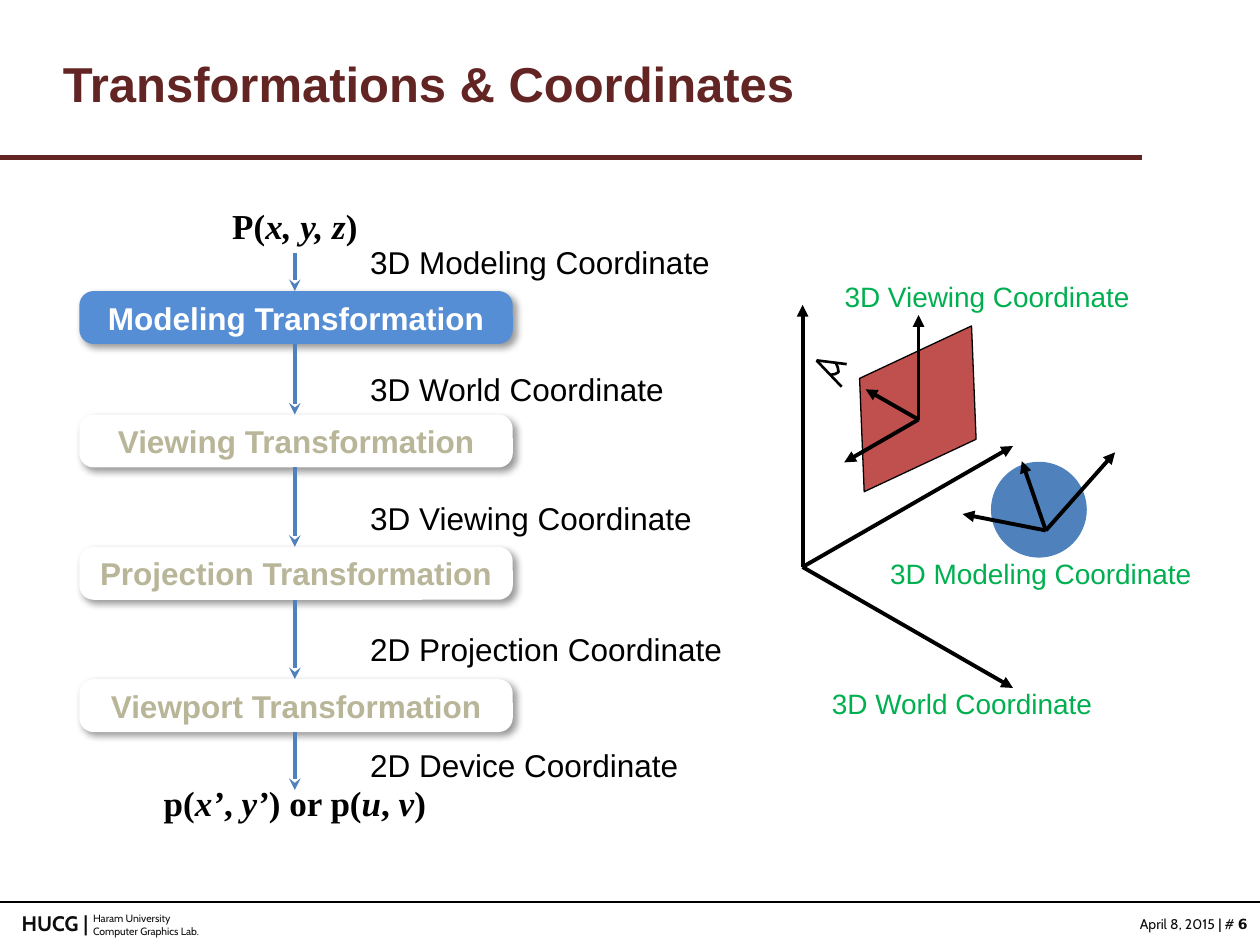
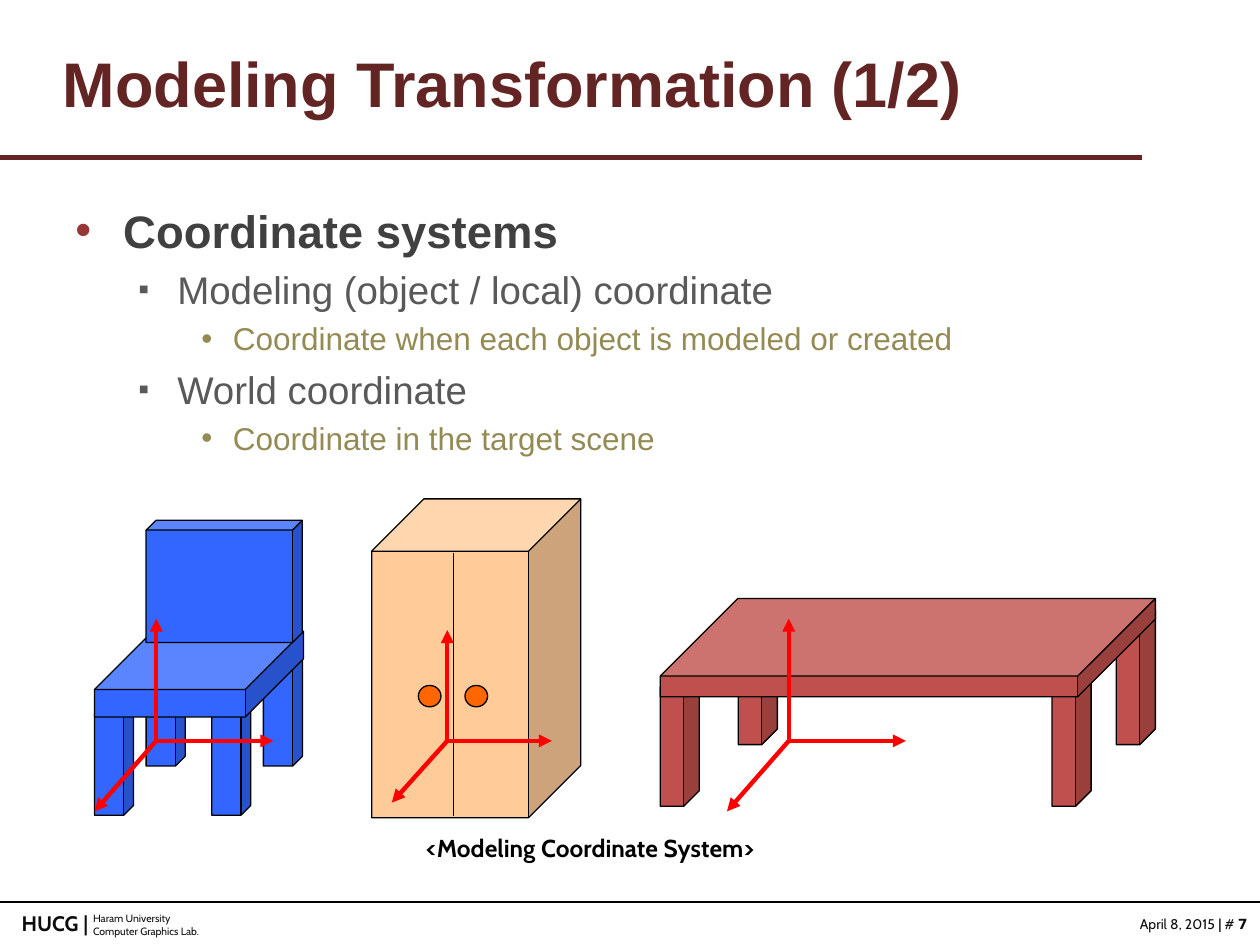
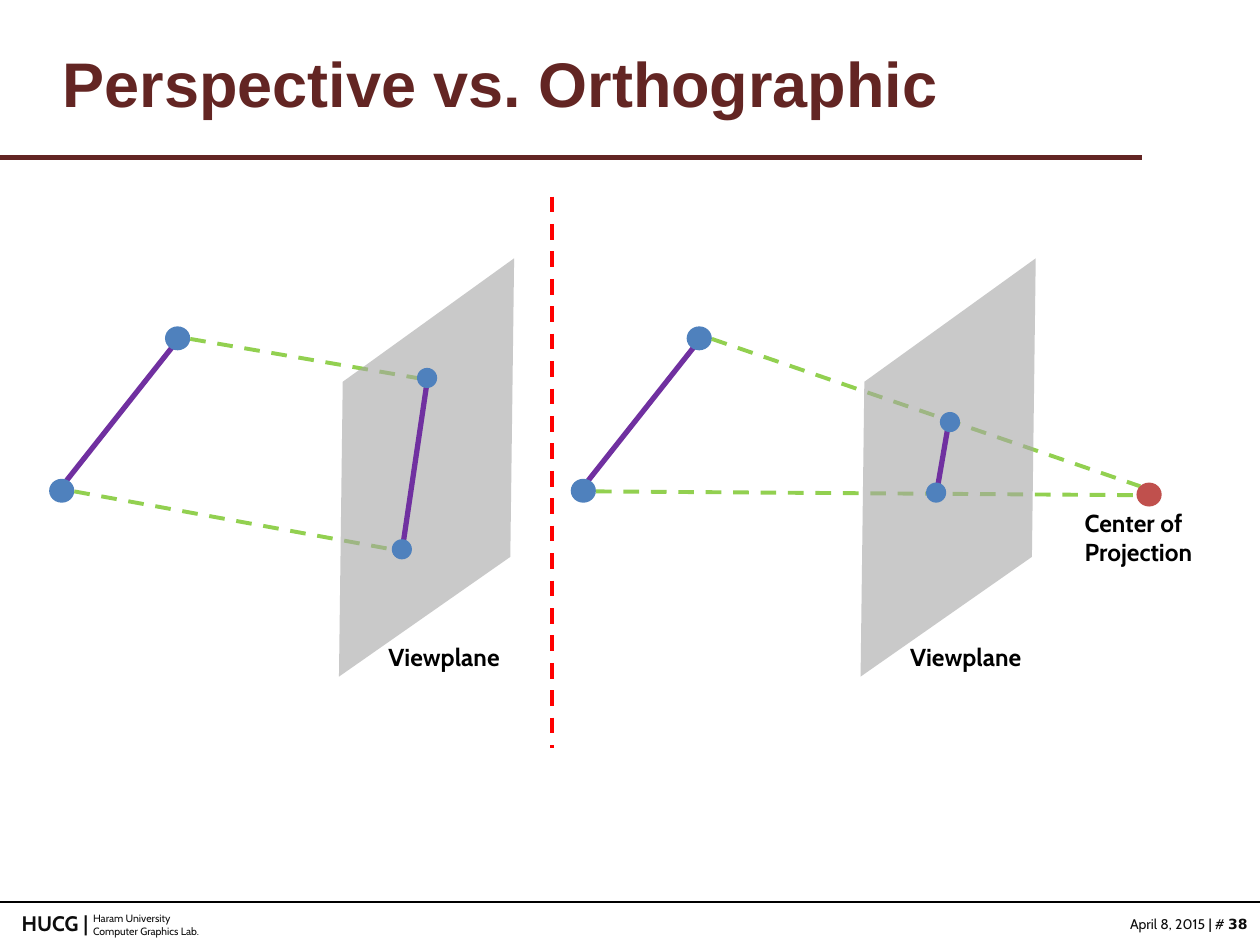
from lxml import etree
from pptx import Presentation
from pptx.dml.color import RGBColor
from pptx.enum.dml import MSO_LINE
from pptx.enum.shapes import MSO_CONNECTOR, MSO_SHAPE
from pptx.enum.text import MSO_ANCHOR, PP_ALIGN
from pptx.oxml.ns import qn
from pptx.util import Inches, Pt

STRAIGHT = MSO_CONNECTOR.STRAIGHT
DASH = MSO_LINE.DASH
ROUNDED, ELLIPSE = MSO_SHAPE.ROUNDED_RECTANGLE, MSO_SHAPE.OVAL
CUBE, PARALLELOGRAM = MSO_SHAPE.CUBE, MSO_SHAPE.PARALLELOGRAM
LEFT, CENTER, RIGHT = PP_ALIGN.LEFT, PP_ALIGN.CENTER, PP_ALIGN.RIGHT
TOP, MIDDLE = MSO_ANCHOR.TOP, MSO_ANCHOR.MIDDLE

SANS, SERIF, LABEL, DIGITS = "Arial", "Times New Roman", "Cabin", "DejaVu Sans"
BLACK, WHITE, INK = "000000", "FFFFFF", "0D0D0D"
MAROON, BLUE, BRICK = "632523", "4F81BD", "C0504D"
GREEN, RED, PURPLE, LIME = "00B050", "FF0000", "7030A0", "92D050"


def rgb(color):
    return RGBColor.from_string(color)


def add_xml(parent, tag, **attrs):
    return etree.SubElement(parent, qn(tag), {k: str(v) for k, v in attrs.items()})


class Deck:
    """The shared style and the slide being drawn."""

    def __init__(self):
        self.prs = Presentation()
        self.prs.slide_width, self.prs.slide_height = Inches(10), Inches(7.5)
        self.s = None

    def slide(self, title, number, title_size=36):
        self.s = self.prs.slides.add_slide(self.prs.slide_layouts[6])
        # Footer
        self.text(0.64, 7.19, 1.4, 0.3,
                  ["Haram University", "Computer Graphics Lab."], 6, INK, LABEL)
        date = ["April 8, 2015 ", ("|", {"bold": True}), " # ",
                (str(number), {"bold": True, "name": DIGITS})]
        self.text(8.5, 7.22, 1.5, 0.24, [date], 8, INK, LABEL, align=RIGHT)
        self.text(-0.04, 7.18, 0.84, 0.3, ["HUCG |"], 12, INK, LABEL, True, RIGHT)
        # Rules and title
        self.line((0, 1.25), (9.06, 1.25), MAROON, 3)
        self.line((0, 7.16), (10, 7.16), BLACK, 1)
        self.text(0.4, 0.22, 8.9, 0.87, [title], title_size, MAROON, bold=True,
                  anchor=MIDDLE)

    def fill_paragraph(self, p, runs, size, color, font, bold):
        """Fill a paragraph; a run is a string or (string, font changes)."""
        f = p.font
        f.size, f.name, f.bold, f.color.rgb = Pt(size), font, bold, rgb(color)
        for run in [runs] if isinstance(runs, str) else runs:
            content, changes = (run, {}) if isinstance(run, str) else run
            r = p.add_run()
            r.text = content
            r.font.bold = changes.get("bold")
            r.font.italic = changes.get("italic")
            r.font.name = changes.get("name")

    def text(self, x, y, w, h, paragraphs, size, color=BLACK, font=SANS,
             bold=False, align=LEFT, anchor=TOP, spacing=None):
        sp = self.s.shapes.add_textbox(Inches(x), Inches(y), Inches(w), Inches(h))
        tf = sp.text_frame
        tf.word_wrap, tf.vertical_anchor = True, anchor
        for i, runs in enumerate(paragraphs):
            p = tf.add_paragraph() if i else tf.paragraphs[0]
            p.alignment, p.line_spacing = align, spacing
            self.fill_paragraph(p, runs, size, color, font, bold)

    def bullets(self, x, y, w, h, items, levels):
        """Items are (level, text); levels hold the style of each depth."""
        sp = self.s.shapes.add_textbox(Inches(x), Inches(y), Inches(w), Inches(h))
        tf = sp.text_frame
        tf.word_wrap = True
        for i, (level, content) in enumerate(items):
            left, hang, char, bullet_color, percent, size, color, bold = levels[level]
            p = tf.add_paragraph() if i else tf.paragraphs[0]
            p.level, p.space_before = level, Pt(round(size * 0.23))
            pPr = p._p.get_or_add_pPr()
            pPr.set("marL", str(Inches(left)))
            pPr.set("indent", str(-Inches(hang)))
            add_xml(add_xml(pPr, "a:buClr"), "a:srgbClr", val=bullet_color)
            add_xml(pPr, "a:buSzPct", val=percent * 1000)
            add_xml(pPr, "a:buFont", typeface=SANS)
            add_xml(pPr, "a:buChar", char=char)
            self.fill_paragraph(p, content, size, color, SANS, bold)

    def paint(self, sp, fill=None, line=None, width=0.75, alpha=None):
        sp.shadow.inherit = False
        if fill:
            sp.fill.solid()
            sp.fill.fore_color.rgb = rgb(fill)
        else:
            sp.fill.background()
        if alpha:
            clr = sp.element.spPr.find(qn("a:solidFill")).find(qn("a:srgbClr"))
            add_xml(clr, "a:alpha", val=alpha * 1000)
        if line:
            sp.line.color.rgb, sp.line.width = rgb(line), Pt(width)
        else:
            sp.line.fill.background()
        return sp

    def shape(self, kind, x, y, w, h, fill, line=None, adj=None):
        sp = self.s.shapes.add_shape(kind, Inches(x), Inches(y), Inches(w), Inches(h))
        if adj is not None:
            sp.adjustments[0] = adj
        return self.paint(sp, fill, line)

    def button(self, x, y, w, h, label, fill, color):
        sp = self.shape(ROUNDED, x, y, w, h, fill, adj=0.27)
        shadow = add_xml(sp.element.spPr.find(qn("a:effectLst")), "a:outerShdw",
                         blurRad=Pt(4), dist=Pt(3), dir=45 * 60000,
                         algn="tl", rotWithShape=0)
        add_xml(add_xml(shadow, "a:srgbClr", val=BLACK), "a:alpha", val=40000)
        sp.text_frame.vertical_anchor = MIDDLE
        p = sp.text_frame.paragraphs[0]
        p.alignment = CENTER
        self.fill_paragraph(p, label, 18, color, SANS, True)

    def outline(self, points, closed=True, **style):
        pts = [(Inches(x), Inches(y)) for x, y in points]
        builder = self.s.shapes.build_freeform(*pts[0])
        builder.add_line_segments(pts[1:], close=closed)
        return self.paint(builder.convert_to_shape(), **style)

    def line(self, start, end, color=BLACK, width=2.25, arrow=None, dash=None):
        c = self.s.shapes.add_connector(
            STRAIGHT, *(Inches(v) for v in (*start, *end)))
        c.line.color.rgb, c.line.width = rgb(color), Pt(width)
        if dash:
            c.line.dash_style = dash
        spPr = c.element.spPr
        if arrow:
            add_xml(spPr.find(qn("a:ln")), "a:tailEnd", type=arrow)
        add_xml(spPr, "a:effectLst")

    def axes(self, origin, tips, color=BLACK, width=2.25):
        for tip in tips:
            self.line(origin, tip, color, width, "triangle")


def transformations(d):
    d.slide("Transformations & Coordinates", 6, 28)

    # Pipeline steps
    steps = [("Modeling", 2.31), ("Viewing", 3.29), ("Projection", 4.34),
             ("Viewport", 5.39)]
    step_h, mid = 0.42, 2.34
    for i, (name, y) in enumerate(steps):
        fill, color = (WHITE, "B8B598") if i else ("558ED5", WHITE)
        d.button(0.63, y, 3.44, step_h, f"{name} Transformation", fill, color)
    tops = [y for _, y in steps]
    starts = [2.01] + [y + step_h for y in tops]
    for start, end in zip(starts, tops + [6.27]):
        d.line((mid, start), (mid, end), BLUE, arrow="stealth")

    # Coordinates between the steps
    for y, name in [(1.88, "3D Modeling"), (2.89, "3D World"), (3.91, "3D Viewing"),
                    (4.95, "2D Projection"), (5.87, "2D Device")]:
        d.text(2.84, y, 3.34, 0.42, [f"{name} Coordinate"], 18)

    # Input and output points
    italic = {"italic": True}
    d.text(1.54, 1.64, 1.6, 0.37, [["P(", ("x, y, z", italic), ")"]],
           20, font=SERIF, bold=True, align=CENTER, spacing=0.8)
    result = ["p(", ("x’", italic), ", ", ("y’", italic), ") or p(",
              ("u", italic), ", ", ("v", italic), ")"]
    d.text(0.99, 6.27, 2.7, 0.3, [result], 20, font=SERIF, bold=True,
           align=CENTER, spacing=0.6)

    # World axes, then the object with its own axes
    d.axes((6.37, 4.5), [(6.37, 2.42), (8.04, 5.46), (8.04, 3.54)])
    d.shape(ELLIPSE, 7.87, 3.67, 0.75, 0.75, BLUE, BLUE)
    d.axes((8.3, 4.21), [(8.85, 3.59), (7.64, 4.08), (8.11, 3.66)])

    # View plane, its axes and the eye
    plane = d.shape(PARALLELOGRAM, 6.62, 2.83, 1.33, 0.83, BRICK, BLACK, 0.42)
    plane.rotation = 334.9
    d.axes((7.29, 3.33), [(7.29, 2.5), (6.7, 3.67), (6.87, 3.09)])
    for lid in [(6.72, 2.89), (6.68, 3.07)]:
        d.line((6.48, 2.86), lid, width=1.5)
    pupil = d.outline([(6.58, 2.97), (6.62, 2.97), (6.65, 2.96), (6.65, 2.92),
                       (6.64, 2.88)], closed=False, line=BLACK, width=1.5)
    pupil.rotation = 350

    # Names of the three systems
    for x, y, w, name in [(6.53, 2.17, 2.61, "Viewing"), (6.44, 5.4, 2.39, "World"),
                          (6.95, 4.37, 2.62, "Modeling")]:
        d.text(x, y, w, 0.37, [f"3D {name} Coordinate"], 16, GREEN, align=CENTER)


def modeling(d):
    d.slide("Modeling Transformation (1/2)", 7)
    levels = [(0.38, 0.38, "•", "953735", 100, 26, "404040", True),
              (0.81, 0.31, "▪", "595959", 80, 22, "595959", False),
              (1.25, 0.25, "•", "948A54", 100, 18, "948A54", False)]
    d.bullets(0.5, 1.56, 9, 5.31, [
        (0, "Coordinate systems"),
        (1, "Modeling (object / local) coordinate"),
        (2, "Coordinate when each object is modeled or created"),
        (1, "World coordinate"),
        (2, "Coordinate in the target scene")], levels)

    def cubes(fill, boxes):
        for x, y, w, h, depth in boxes:
            d.shape(CUBE, x, y, w, h, fill, BLACK, depth)

    def legs(fill, places, h, depth):
        cubes(fill, [(x, y, 0.31, h, depth) for x, y in places])

    # Chair
    chair = "3366FF"
    legs(chair, [(0.75, 5.59), (1.16, 5.2), (2.09, 5.2), (1.68, 5.59)], 0.88, 0.25)
    cubes(chair, [(0.75, 5.01, 1.66, 0.68, 0.68), (1.16, 4.13, 1.24, 0.97, 0.08)])

    # Table
    legs(BRICK, [(8.35, 5.33), (8.86, 4.84), (5.86, 4.84), (5.24, 5.33)], 1.07, 0.4)
    cubes(BRICK, [(5.24, 4.75, 3.93, 0.78, 0.79)])

    # Wardrobe
    cubes("FFCC99", [(2.95, 3.96, 1.66, 2.53, 0.25)])
    d.line((3.6, 4.39), (3.6, 6.48), width=0.75)
    for x in (3.69, 3.32):
        d.shape(ELLIPSE, x, 5.44, 0.18, 0.17, "FF6600", BLACK)

    # Local axes: up, right and toward the viewer
    y = 5.88
    for x, up, right, dx, dy in [(1.24, 0.97, 0.93, 0.49, 0.56),
                                 (3.55, 0.88, 0.83, 0.44, 0.49),
                                 (6.26, 0.97, 0.93, 0.49, 0.56)]:
        d.axes((x, y), [(x, y - up), (x + right, y), (x - dx, y + dy)], RED, 2.5)
    d.text(3.01, 6.56, 3.35, 0.34, ["<Modeling Coordinate System>"], 14,
           font=LABEL, bold=True, align=CENTER)


def projections(d):
    d.slide("Perspective vs. Orthographic", 38)

    def dot(x, y, w, h, color=BLUE):
        d.shape(ELLIPSE, x, y, w, h, color)

    def projection(x, ray_ends, image, image_dots):
        """One segment, its rays and its image on a view plane, from x on."""
        d.line((x + 0.46, 3.9), (x + 1.45, 2.65), PURPLE, 3)
        dot(x + 1.31, 2.59, 0.2, 0.19)
        dot(x + 0.39, 3.8, 0.2, 0.19)
        for start, end in zip([(x + 1.51, 2.69), (x + 0.59, 3.9)], ray_ends):
            d.line(start, end, LIME, dash=DASH)
        corners = [(2.72, 3.03), (2.69, 5.37), (4.05, 4.42), (4.08, 2.05)]
        d.outline([(x + cx, cy) for cx, cy in corners], fill="A6A6A6", alpha=60)
        d.line(*image, PURPLE, 3)
        for left, top in image_dots:
            dot(left, top, 0.16, 0.16)
        d.text(x + 2.91, 5.05, 1.23, 0.34, ["Viewplane"], 14, font=LABEL,
               bold=True, align=CENTER)

    # Orthographic, then perspective
    projection(0, [(3.31, 3), (3.11, 4.36)], [(3.19, 4.38), (3.39, 3.03)],
               [(3.31, 2.92), (3.11, 4.28)])
    projection(4.14, [(9.05, 3.86), (9.02, 3.93)], [(7.43, 3.93), (7.53, 3.35)],
               [(7.46, 3.27), (7.35, 3.83)])
    dot(9.02, 3.83, 0.2, 0.19, BRICK)
    d.text(8.51, 3.98, 1.22, 0.57, ["Center of", "Projection"], 14, font=LABEL,
           bold=True)

    # Divider
    d.line((4.38, 1.56), (4.38, 5.94), RED, dash=DASH)


def main():
    d = Deck()
    transformations(d)
    modeling(d)
    projections(d)
    d.prs.save("out.pptx")


if __name__ == "__main__":
    main()
